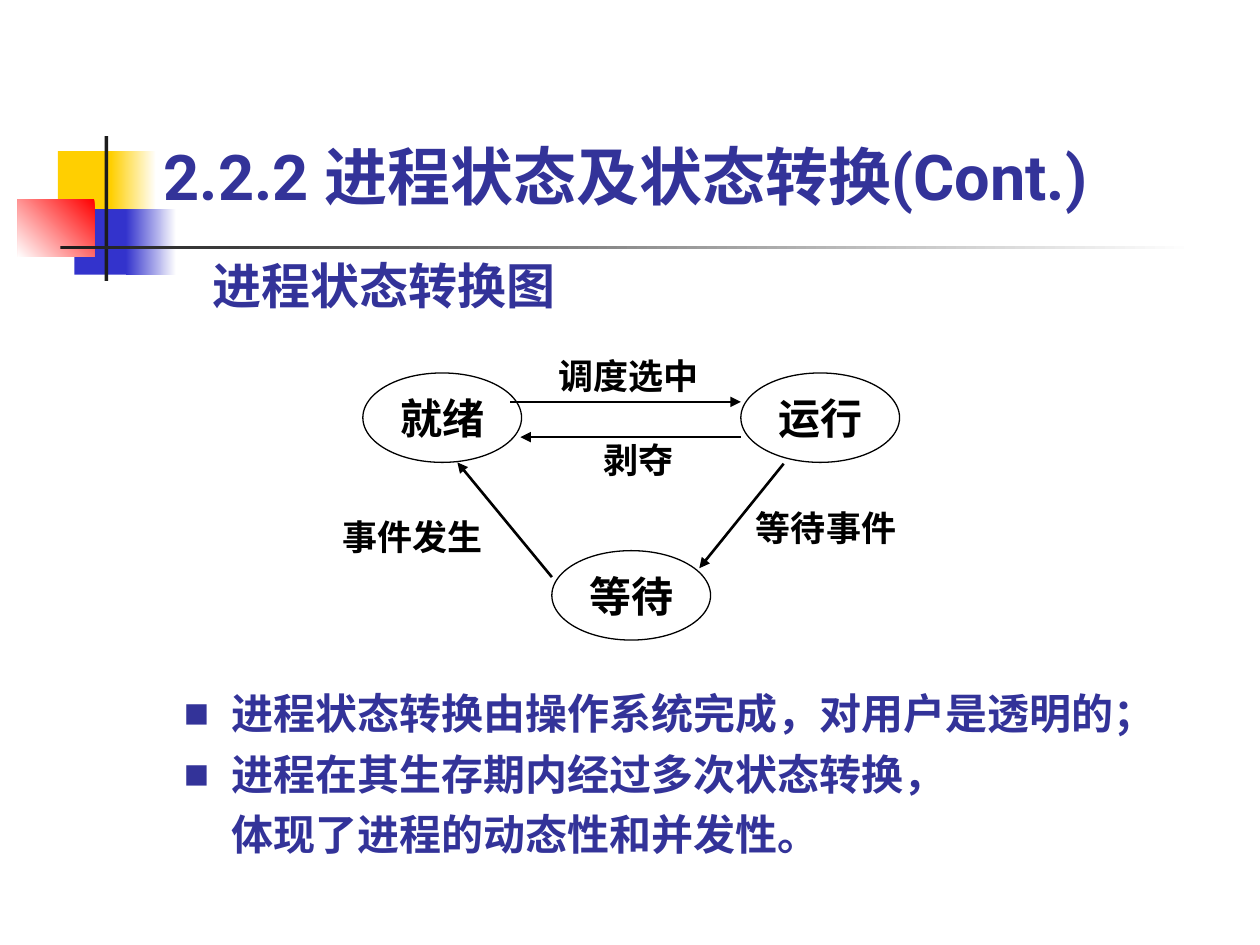
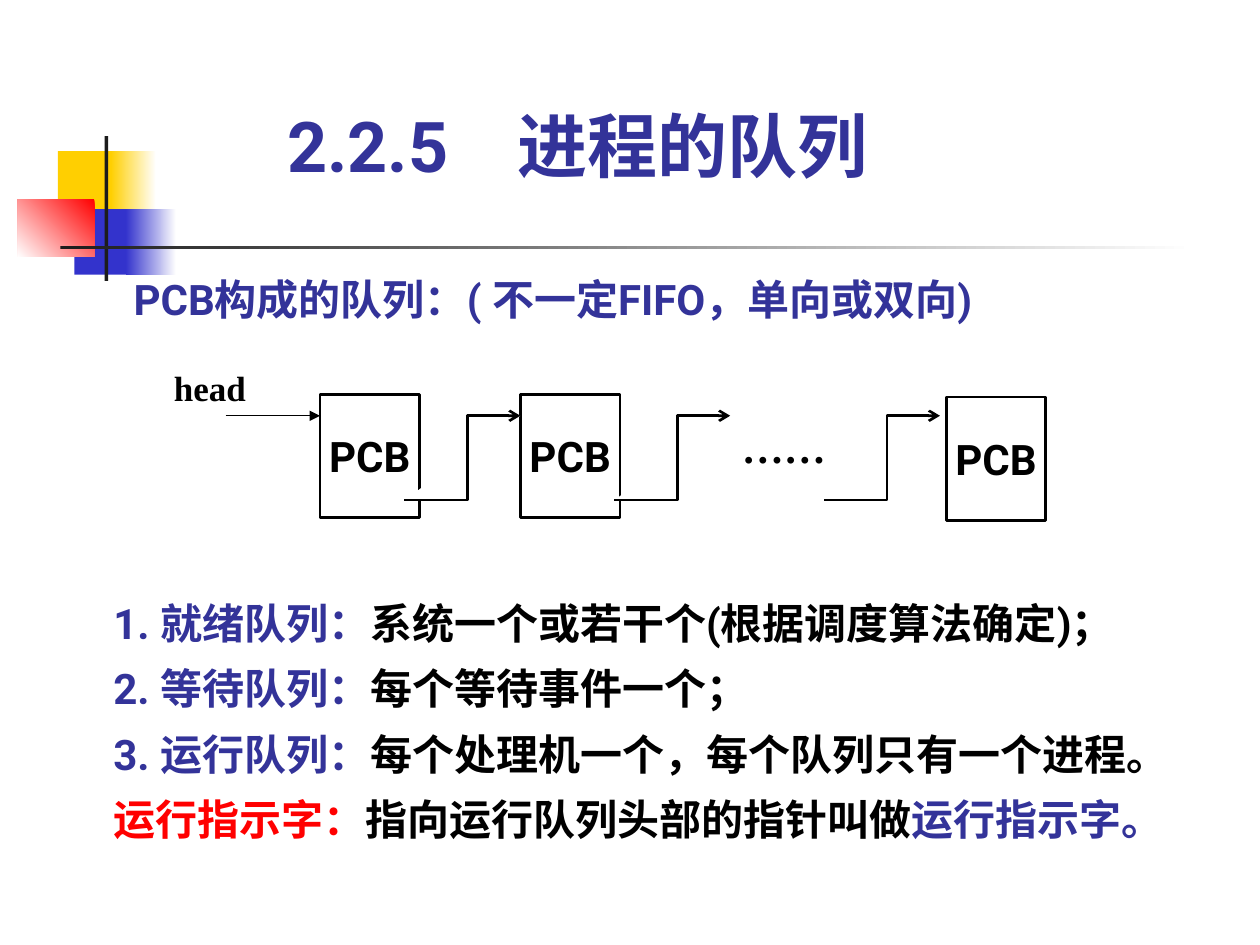
from lxml import etree
from pptx import Presentation
from pptx.dml.color import RGBColor
from pptx.enum.shapes import MSO_CONNECTOR, MSO_SHAPE
from pptx.enum.text import MSO_ANCHOR, PP_ALIGN
from pptx.oxml.ns import qn
from pptx.util import Inches, Pt

RECT, OVAL = MSO_SHAPE.RECTANGLE, MSO_SHAPE.OVAL
STRAIGHT = MSO_CONNECTOR.STRAIGHT
TOP, MIDDLE, BOTTOM = MSO_ANCHOR.TOP, MSO_ANCHOR.MIDDLE, MSO_ANCHOR.BOTTOM
LEFT, CENTER = PP_ALIGN.LEFT, PP_ALIGN.CENTER

WHITE = RGBColor(0xFF, 0xFF, 0xFF)
BLACK = RGBColor(0, 0, 0)
INDIGO = RGBColor(0x33, 0x33, 0x99)
RED = RGBColor(0xFF, 0, 0)
YELLOW = RGBColor(0xFF, 0xCF, 0x01)
BLUE = RGBColor(0x33, 0x33, 0xCC)
CHARCOAL = RGBColor(0x1C, 0x1C, 0x1C)

ROBOTO, TIMES = "Roboto", "Times New Roman"


def add_run(paragraph, text, size, color, font):
    """Append one bold run to a paragraph."""
    run = paragraph.add_run()
    run.text = text
    run.font.size = Pt(size)
    run.font.bold = True
    run.font.name = font
    run.font.color.rgb = color


def write(frame, lines, size, font=ROBOTO, align=LEFT, anchor=TOP,
          spacing=None, inset=(0, 0), wrap=True):
    """Fill a frame with lines, each a list of (text, colour) runs."""
    frame.word_wrap = wrap
    frame.vertical_anchor = anchor
    frame.margin_left = frame.margin_right = Inches(inset[0])
    frame.margin_top = frame.margin_bottom = Inches(inset[1])
    for index, runs in enumerate(lines):
        paragraph = frame.add_paragraph() if index else frame.paragraphs[0]
        paragraph.alignment = align
        if spacing:
            paragraph.line_spacing = spacing
        for text, color in runs:
            add_run(paragraph, text, size, color, font)
    return frame.paragraphs


def add_text(slide, box, lines, size, **style):
    """Add a text box and return its paragraphs."""
    area = slide.shapes.add_textbox(*map(Inches, box))
    return write(area.text_frame, lines, size, **style)


def add_block(slide, kind, box, fill=WHITE, line_width=None):
    """Add a flat preset shape with an optional black outline."""
    block = slide.shapes.add_shape(kind, *map(Inches, box))
    block.shadow.inherit = False
    block.fill.solid()
    block.fill.fore_color.rgb = fill
    outline(block, line_width)
    return block


def outline(block, width):
    """Draw a black outline, or none when no width is given."""
    if width:
        block.line.color.rgb = BLACK
        block.line.width = Pt(width)
    else:
        block.line.fill.background()


def fade(block, color, angle=0):
    """Fade a shape from a colour into white."""
    block.fill.gradient()
    block.fill.gradient_angle = angle
    for stop, shade in zip(block.fill.gradient_stops, (color, WHITE)):
        stop.color.rgb = shade


def add_head(line, kind):
    """Put an arrowhead at the end of a line."""
    etree.SubElement(line.line._get_or_add_ln(), qn("a:tailEnd"), type=kind)


def add_arrow(slide, start, end, width):
    """Add a straight black arrow."""
    arrow = slide.shapes.add_connector(STRAIGHT, *map(Inches, start + end))
    outline(arrow, width)
    add_head(arrow, "triangle")
    etree.SubElement(arrow._element.spPr, qn("a:effectLst"))


def add_ornament(slide, left=0.14, top=1.08):
    """Draw the coloured squares and crossing rules behind the title."""
    parts = [
        (0.32, 0.12, 0.48, 0.52, YELLOW, None),
        (0.74, 0.12, 0.36, 0.52, YELLOW, 0),
        (0.45, 0.58, 0.46, 0.52, BLUE, None),
        (0.86, 0.58, 0.4, 0.52, BLUE, 0),
        (0, 0.5, 0.61, 0.46, RED, 225),
        (0.69, 0, 0.03, 1.15, CHARCOAL, None),
        (0.34, 0.87, 9, 0.03, CHARCOAL, 0),
    ]
    for x, y, width, height, color, angle in parts:
        part = add_block(slide, RECT, (left + x, top + y, width, height), color)
        if angle is not None:
            fade(part, color, angle)


def add_title(slide, box, text, size, spacing=None):
    """Add an indigo heading standing on the bottom of its box."""
    return add_text(slide, box, [[(text, INDIGO)]], size,
                    anchor=BOTTOM, spacing=spacing)


def add_label(slide, box, text, size=20, **style):
    """Add a white label with black text."""
    label = add_block(slide, RECT, box)
    write(label.text_frame, [[(text, BLACK)]], size, font=TIMES, **style)


def add_state_diagram(slide, left, top):
    """Draw the three process states and the transitions between them."""
    for state, x, y in [("就绪", 0.16, 0.15), ("等待", 1.66, 1.56),
                        ("运行", 3.16, 0.15)]:
        oval = add_block(slide, OVAL, (left + x, top + y, 1.26, 0.71),
                         line_width=0.75)
        write(oval.text_frame, [[(state, BLACK)]], 24, font=TIMES,
              align=CENTER, anchor=MIDDLE, inset=(0.1, 0.05), wrap=False)
    for x1, y1, x2, y2 in [(1.33, 0.38, 3.16, 0.38), (3.5, 0.87, 2.83, 1.7),
                           (1.66, 1.77, 0.91, 0.86), (3.16, 0.66, 1.41, 0.66)]:
        add_arrow(slide, (left + x1, top + y1), (left + x2, top + y2), 1.5)
    for event, x, y, width, align in [
            ("调度选中", 1.54, 0, 1.46, CENTER), ("剥夺", 1.58, 0.67, 1.53, CENTER),
            ("等待事件", 3.28, 1.21, 1.33, LEFT), ("事件发生", 0, 1.28, 1.15, LEFT)]:
        add_label(slide, (left + x, top + y, width, 0.33), event, align=align)


def add_bullets(slide, box):
    """List the remarks with square bullets and a hanging indent."""
    remarks = ["进程状态转换由操作系统完成，对用户是透明的；",
               "进程在其生存期内经过多次状态转换，",
               "体现了进程的动态性和并发性。"]
    paragraphs = add_text(slide, box, [[(remark, INDIGO)] for remark in remarks],
                          24, spacing=1.2)
    indent = Inches(0.38)
    for paragraph in paragraphs:
        paragraph._p.get_or_add_pPr().set("marL", str(indent))
    for paragraph in paragraphs[:2]:
        props = paragraph._p.get_or_add_pPr()
        props.set("indent", str(-indent))
        etree.SubElement(props, qn("a:buFont"), typeface="Arial")
        etree.SubElement(props, qn("a:buChar"), char="■")


def add_link(slide, left, top):
    """Draw a stepped pointer from one queue entry to the next."""
    steps = [(left + x, top + y) for x, y in
             [(0, 0.67), (0.5, 0.67), (0.5, 0), (0.92, 0)]]
    points = [(Inches(x), Inches(y)) for x, y in steps]
    builder = slide.shapes.build_freeform(*points[0])
    builder.add_line_segments(points[1:], close=False)
    link = builder.convert_to_shape()
    link.shadow.inherit = False
    link.fill.solid()
    link.fill.fore_color.rgb = WHITE
    outline(link, 1.5)
    add_head(link, "arrow")


def add_queue(slide, left, top):
    """Draw the linked queue of process control blocks."""
    for x, y in [(1.16, 0.17), (2.75, 0.17), (6.13, 0.19)]:
        entry = add_block(slide, RECT, (left + x, top + y, 0.79, 0.98),
                          line_width=1.5)
        write(entry.text_frame, [[("PCB", BLACK)]], 24, align=CENTER,
              anchor=MIDDLE, inset=(0.1, 0.05), wrap=False)
    rail = top + 0.34
    add_arrow(slide, (left + 0.41, rail), (left + 1.16, rail), 0.75)
    for index in range(3):
        add_link(slide, left + 1.83 + index * 1.665, rail)
    add_label(slide, (left + 4.41, rail, 1.08, 0.5), "……", 24,
              inset=(0.1, 0.05))
    add_label(slide, (left, top, 0.67, 0.28), "head", spacing=0.85)


def add_queue_kinds(slide, box):
    """Explain the kinds of queues and the running pointer."""
    lines = [
        [("1. 就绪队列：", INDIGO), ("系统一个或若干个(根据调度算法确定)；", BLACK)],
        [("2. 等待队列：", INDIGO), ("每个等待事件一个；", BLACK)],
        [("3. 运行队列：", INDIGO), ("每个处理机一个，每个队列只有一个进程。", BLACK)],
        [("运行指示字：", RED), ("指向运行队列头部的指针叫做", BLACK),
         ("运行指示字。", INDIGO)],
    ]
    add_text(slide, box, lines, 24, spacing=1.3)


def build_states_slide(slide):
    """Build the slide on process states."""
    add_ornament(slide)
    add_state_diagram(slide, 2.72, 2.81)
    add_title(slide, (1.69, 2.1, 2.91, 0.4), "进程状态转换图", 28, 0.85)
    add_title(slide, (1.3, 0.49, 7.76, 1.2), "2.2.2 进程状态及状态转换(Cont.)", 36)
    add_bullets(slide, (1.46, 5.38, 7.87, 1.44))


def build_queue_slide(slide):
    """Build the slide on process queues."""
    add_ornament(slide)
    heading = add_title(slide, (2.28, 0.91, 5.32, 0.57), "2.2.5\t进程的队列", 40, 0.85)[0]
    tabs = etree.SubElement(heading._p.get_or_add_pPr(), qn("a:tabLst"))
    etree.SubElement(tabs, qn("a:tab"), pos=str(Inches(1.83)), algn="l")
    add_queue(slide, 1.38, 2.96)
    add_queue_kinds(slide, (0.9, 4.62, 8.66, 2.08))
    add_text(slide, (1.06, 2.17, 7.32, 0.4),
             [[("PCB构成的队列：( 不一定FIFO，单向或双向)", INDIGO)]], 24)


def main():
    """Build and save the presentation."""
    deck = Presentation()
    deck.slide_width, deck.slide_height = Inches(10), Inches(7.5)
    for build in (build_states_slide, build_queue_slide):
        build(deck.slides.add_slide(deck.slide_layouts[6]))
    deck.save("out.pptx")


if __name__ == "__main__":
    main()
